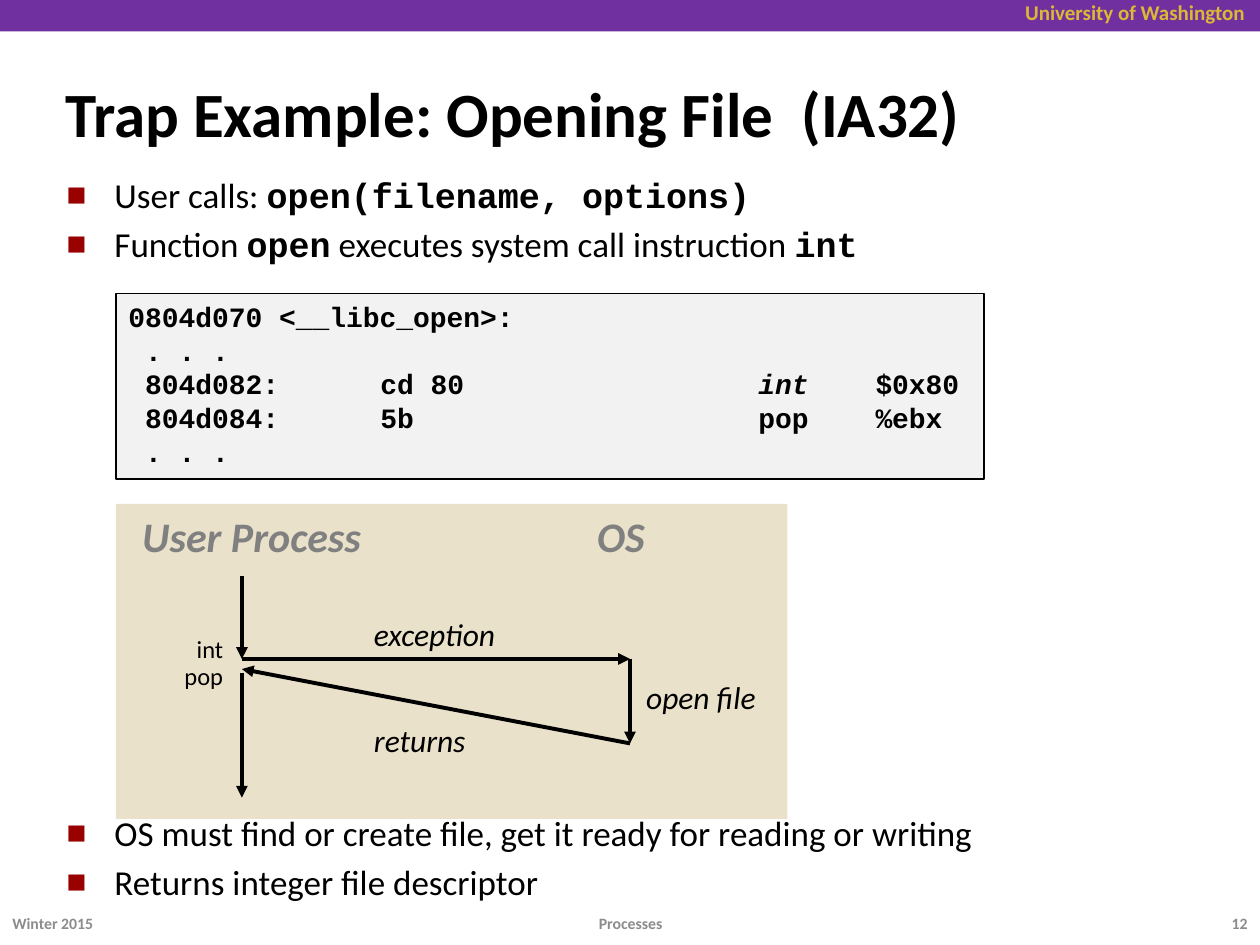
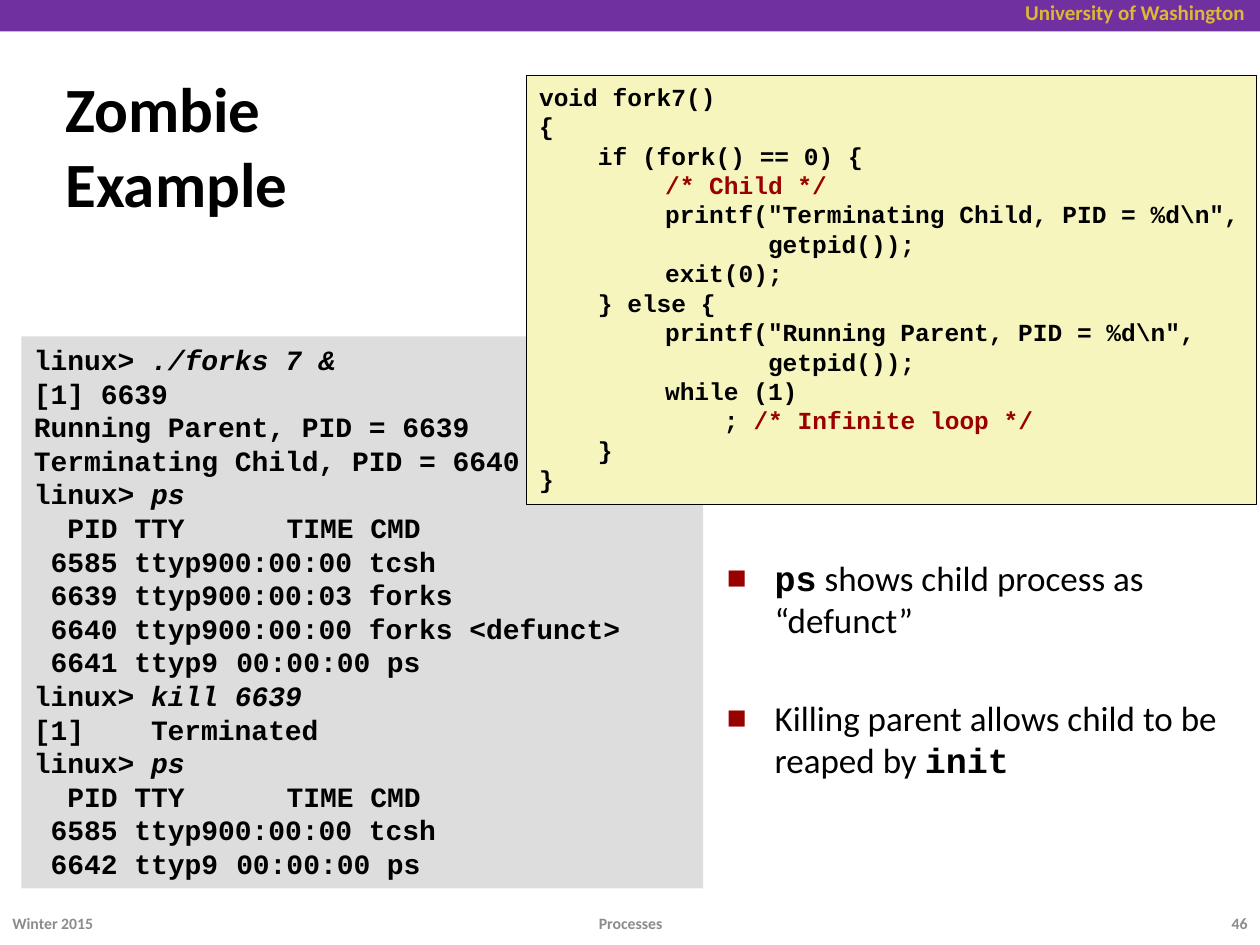
from lxml import etree
from pptx import Presentation
from pptx.dml.color import RGBColor
from pptx.enum.shapes import MSO_CONNECTOR, MSO_SHAPE
from pptx.enum.text import MSO_ANCHOR, PP_ALIGN
from pptx.oxml.ns import qn
from pptx.util import Emu, Inches, Pt

RECT, LINE = MSO_SHAPE.RECTANGLE, MSO_CONNECTOR.STRAIGHT
TOP, MID = MSO_ANCHOR.TOP, MSO_ANCHOR.MIDDLE
LEFT, MIDDLE, RIGHT = PP_ALIGN.LEFT, PP_ALIGN.CENTER, PP_ALIGN.RIGHT

WIDE, HIGH = 10, 7.5
SANS, MONO = "Calibri", "Courier New"
HUE = {
    "band": "7030A0", "gold": "DCB834", "ink": "000000", "red": "990000",
    "grey": "808080", "foot": "8C8C8C", "sand": "E9E1C9", "pale": "F2F2F2",
    "shell": "DDDDDD", "cream": "F6F5BD",
}

# Run styles: a run is plain text or (text, style)
STYLE = {
    "code": {"font": MONO, "bold": True},
    "slant": {"italic": True},
    "note": {"hue": "red"},
}

# Content: trap slide
TRAP = "Trap Example: Opening File  (IA32)"
CALLS = [
    ["User calls: ", ("open(filename, options)", "code")],
    ["Function ", ("open", "code"), " executes system call instruction ",
     ("int", "code")],
]
ENDS = [
    "OS must find or create file, get it ready for reading or writing",
    "Returns integer file descriptor",
]
DUMP = [
    "0804d070 <__libc_open>:",
    " . . .",
    [" 804d082:\tcd 80\t", ("int", "slant"), "\t$0x80"],
    " 804d084:\t5b\tpop\t%ebx",
    " . . .",
]
USER, KERN = 1.92, 5  # the two lanes of the flow
FLOW = [
    ((USER, 4.57), (USER, 5.23)),
    ((USER, 5.23), (KERN, 5.23)),
    ((KERN, 5.23), (KERN, 5.9)),
    ((KERN, 5.9), (USER, 5.31)),
    ((USER, 5.34), (USER, 6.33)),
]
HEADS = [("User Process", 1.03, 1.97), ("OS", 4.64, 0.6)]
STEPS = [("exception", 2.87, 4.83), ("open file", 5.03, 5.33),
         ("returns", 2.87, 5.67)]
OPS = [("int", 4.98), ("pop", 5.2)]

# Content: zombie slide
ZOMBIE = [["Zombie", "\v", "Example"]]
HEAD = "  PID TTY\tTIME CMD"
SHELL = [
    ["linux> ", ("./forks 7 &", "slant")],
    "[1] 6639",
    "Running Parent, PID = 6639",
    "Terminating Child, PID = 6640",
    ["linux> ", ("ps", "slant")],
    HEAD,
    " 6585 ttyp9\t00:00:00 tcsh",
    " 6639 ttyp9\t00:00:03 forks",
    " 6640 ttyp9\t00:00:00 forks <defunct>",
    " 6641 ttyp9\t00:00:00 ps",
    ["linux>", (" kill 6639", "slant")],
    "[1]\tTerminated",
    ["linux> ", ("ps", "slant")],
    HEAD,
    " 6585 ttyp9\t00:00:00 tcsh",
    " 6642 ttyp9\t00:00:00 ps",
]
FORK = [
    "void fork7()",
    "{",
    "    if (fork() == 0) {",
    ["\t", ("/* Child */", "note")],
    "\tprintf(\"Terminating Child, PID = %d\\n\",",
    "\t       getpid());",
    "\texit(0);",
    "    } else {",
    "\tprintf(\"Running Parent, PID = %d\\n\",",
    "\t       getpid());",
    "\twhile (1)",
    ["\t    ; ", ("/* Infinite loop */", "note")],
    "    }",
    "}",
]
FACTS = [
    [("ps", "code"), " shows child process as “defunct”"],
    ["Killing parent allows child to be reaped by ", ("init", "code")],
]


def color(name):
    return RGBColor.from_string(HUE[name])


def add(props, tag, **attrs):
    return etree.SubElement(props, qn("a:" + tag), attrs)


def block(slide, box, fill, edge=None):
    """A flat rectangle, with an edge line if a width is given."""
    shape = slide.shapes.add_shape(RECT, *map(Inches, box))
    shape.shadow.inherit = False
    shape.fill.solid()
    shape.fill.fore_color.rgb = color(fill)
    if edge:
        shape.line.color.rgb = color("ink")
        shape.line.width = Pt(edge)
    else:
        shape.line.fill.background()
    return shape


def write(slide, box, lines, size=20, font=SANS, hue="ink", bold=False,
          italic=False, align=LEFT, anchor=TOP, wrap=True, inset=0.05,
          fill=None, edge=None, tabs=(), bullet=False, gap=0):
    """Text in a box; lines is one string or a list of lines."""
    if fill:
        shape = block(slide, box, fill, edge)
    else:
        shape = slide.shapes.add_textbox(*map(Inches, box))
    frame = shape.text_frame
    frame.word_wrap, frame.vertical_anchor = wrap, anchor
    frame.margin_top = frame.margin_bottom = Inches(inset)
    base = {"font": font, "hue": hue, "bold": bold, "italic": italic}
    for i, line in enumerate([lines] if isinstance(lines, str) else lines):
        para = frame.add_paragraph() if i else frame.paragraphs[0]
        para.alignment = align
        if i and gap:
            para.space_before = Pt(gap)
        props = para._p.get_or_add_pPr()
        if bullet:
            props.set("marL", str(Inches(0.38)))
            props.set("indent", str(-Inches(0.38)))
            add(add(props, "buClr"), "srgbClr", val=HUE["red"])
            add(props, "buSzPct", val="60000")
            add(props, "buFont", typeface=SANS)
            add(props, "buChar", char="■")
        if tabs:
            stops = add(props, "tabLst")
            for place, side in tabs:
                add(stops, "tab", pos=str(Inches(place)), algn=side)
        for part in [line] if isinstance(line, str) else line:
            if part == "\v":
                para.add_line_break()
                continue
            text, style = (part, None) if isinstance(part, str) else part
            look = {**base, **STYLE.get(style, {})}
            run = para.add_run()
            run.text = text
            run.font.name, run.font.size = look["font"], Pt(size)
            run.font.bold, run.font.italic = look["bold"], look["italic"]
            run.font.color.rgb = color(look["hue"])


def code(slide, box, lines, **fmt):
    write(slide, box, lines, font=MONO, bold=True, wrap=False, **fmt)


def arrow(slide, start, end):
    link = slide.shapes.add_connector(LINE, *map(Inches, start + end))
    link.line.color.rgb = color("ink")
    link.line.width = Pt(2.25)
    props = link.element.spPr
    add(props.find(qn("a:ln")), "tailEnd", type="triangle")
    add(props, "effectLst")


def page(deck, title, box, number):
    """A blank slide with the shared band, title and footer."""
    slide = deck.slides.add_slide(deck.slide_layouts[6])
    block(slide, (0, 0, WIDE, 0.25), "band")
    write(slide, (7.33, 0, 2.65, 0.2), "University of Washington", size=12,
          hue="gold", bold=True, align=RIGHT, inset=0)
    write(slide, box, title, size=36, bold=True, anchor=MID)
    for text, left, width, align in [
            ("Winter 2015", 0, 3, LEFT), ("Processes", 3.42, 3.17, MIDDLE),
            (number, 9.33, 0.67, RIGHT)]:
        write(slide, (left, 7.18, width, 0.4 * 0.8), text, size=9,
              hue="foot", bold=True, align=align, anchor=TOP, inset=0.13)
    return slide


def trap(deck):
    slide = page(deck, TRAP, (0.42, 0.58, 7.56, 0.63), "12")
    for lines, top in [(CALLS, 1.33), (ENDS, 6.39)]:
        write(slide, (0.43, top, 9.15, 0.84), lines, bullet=True, gap=4)
    code(slide, (0.92, 2.33, 6.89, 1.47), DUMP, size=16, fill="pale", edge=1,
         tabs=[(2, "l"), (5, "l"), (5.93, "l")])
    # Flow between the two lanes
    block(slide, (0.92, 4, 5.33, 2.5), "sand")
    for text, left, width in HEADS:
        write(slide, (left, 4, width, 0.5), text, size=24, hue="grey",
              bold=True, italic=True, wrap=False)
    for start, end in FLOW:
        arrow(slide, start, end)
    for text, left, top in STEPS:
        write(slide, (left, top, 1.33, 0.4), text, size=18, italic=True)
    for text, top in OPS:
        write(slide, (1.27, top, 0.6, 0.34), text, size=14, align=RIGHT)


def zombie(deck):
    slide = page(deck, ZOMBIE, (0.42, 0.55, 2.19, 1.2), "46")
    code(slide, (0.17, 2.67, 5.41, 4.38), SHELL, size=16, fill="shell",
         tabs=[(0.93, "l"), (3.07, "r")])
    write(slide, (5.67, 4.37, 4.33, 2.5), FACTS, bullet=True, gap=32)
    code(slide, (4.18, 0.6, 5.79, 3.4), FORK, size=14, fill="cream",
         edge=0.25, tabs=[(1, "l")])


def main():
    deck = Presentation()
    deck.slide_width, deck.slide_height = Emu(Inches(WIDE)), Inches(HIGH)
    trap(deck)
    zombie(deck)
    deck.save("out.pptx")


if __name__ == "__main__":
    main()
